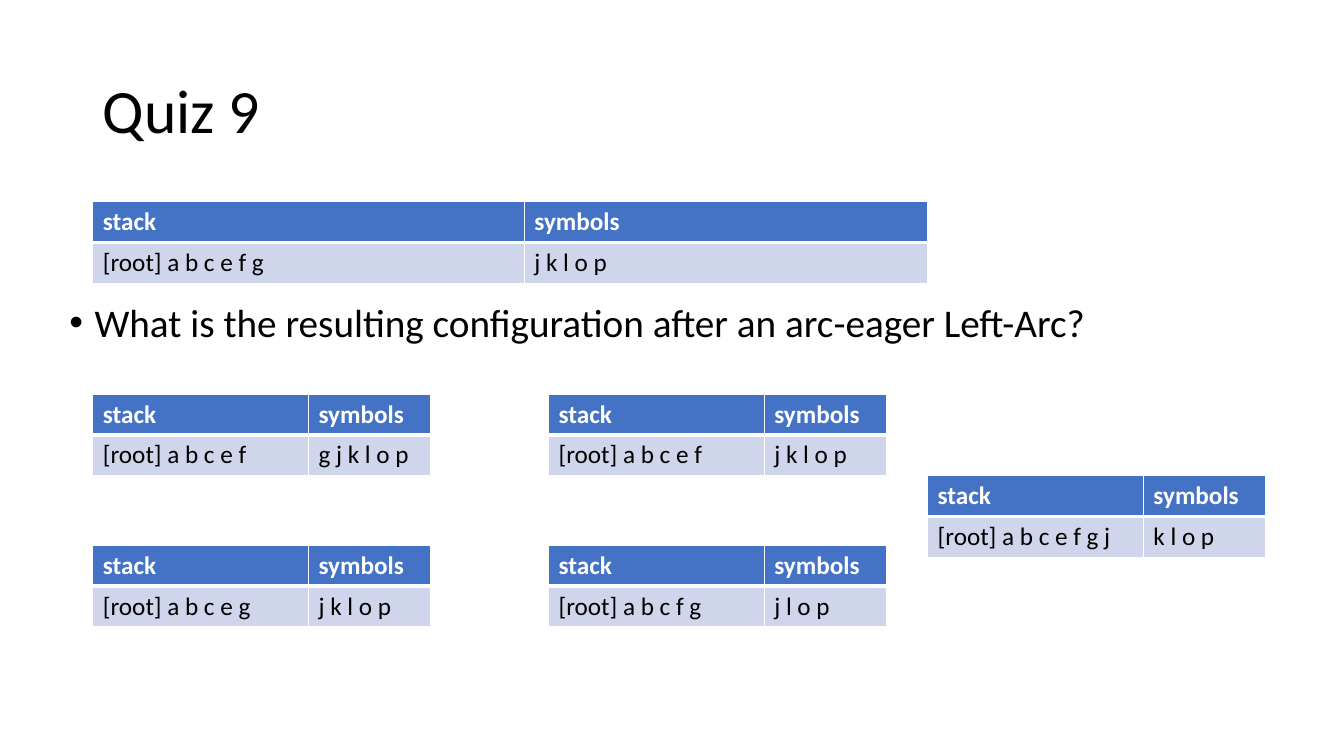
import pptx
import pptx.dml.color
import pptx.enum.text
import pptx.oxml
import pptx.oxml.ns
import pptx.util
from lxml import etree
from pptx.util import Inches

WHITE = pptx.dml.color.RGBColor(0xFF, 0xFF, 0xFF)
BLACK = pptx.dml.color.RGBColor(0x00, 0x00, 0x00)
HEADER_BLUE = pptx.dml.color.RGBColor(0x44, 0x72, 0xC4)
BODY_BLUE = pptx.dml.color.RGBColor(0xCF, 0xD5, 0xEA)
FONT = "Calibri"
ROW_HEIGHT = 0.405


def add_text(slide, left, top, width, height, text, size):
    shape = slide.shapes.add_textbox(Inches(left), Inches(top), Inches(width), Inches(height))
    shape.text_frame.word_wrap = True
    paragraph = shape.text_frame.paragraphs[0]
    paragraph.text = text
    paragraph.line_spacing = 0.9
    return shape.text_frame, paragraph


def add_configuration(slide, left, top, widths, stack, symbols):
    """Add a parser configuration: a header row above one body row."""
    table = slide.shapes.add_table(
        2, 2, Inches(left), Inches(top), Inches(sum(widths)), Inches(2 * ROW_HEIGHT)
    ).table
    for column, width in zip(table.columns, widths):
        column.width = Inches(width)
    for row_index, texts in enumerate((("stack", "symbols"), (stack, symbols))):
        header = row_index == 0
        table.rows[row_index].height = Inches(ROW_HEIGHT)
        for column_index, text in enumerate(texts):
            cell = table.cell(row_index, column_index)
            cell.text = text
            # White borders, thick between header and body
            properties = cell._tc.get_or_add_tcPr()
            thick_side = "lnB" if header else "lnT"
            for side in ("lnL", "lnR", "lnT", "lnB"):
                points = 3 if side == thick_side else 1
                line = etree.SubElement(
                    properties, pptx.oxml.ns.qn("a:" + side), w=str(pptx.util.Pt(points))
                )
                fill = etree.SubElement(line, pptx.oxml.ns.qn("a:solidFill"))
                etree.SubElement(fill, pptx.oxml.ns.qn("a:srgbClr"), val=str(WHITE))
            cell.fill.solid()
            cell.fill.fore_color.rgb = HEADER_BLUE if header else BODY_BLUE
            font = cell.text_frame.paragraphs[0].font
            font.name = FONT
            font.size = pptx.util.Pt(18)
            font.bold = header
            font.color.rgb = WHITE if header else BLACK


presentation = pptx.Presentation()
presentation.slide_width = Inches(13.33)
presentation.slide_height = Inches(7.5)
slide = presentation.slides.add_slide(presentation.slide_layouts[6])

# Title
title_frame, title = add_text(slide, 0.92, 0.4, 11.5, 1.45, "Quiz 9", 44)
title_frame.vertical_anchor = pptx.enum.text.MSO_ANCHOR.MIDDLE

# Question with a hanging bullet
question_frame, question = add_text(
    slide, 0.59, 2.96, 11.5, 0.79,
    "What is the resulting configuration after an arc-eager Left-Arc?", 28
)
bullet_properties = question._p.get_or_add_pPr()
bullet_properties.set("marL", str(Inches(0.25)))
bullet_properties.set("indent", str(Inches(-0.25)))
etree.SubElement(bullet_properties, pptx.oxml.ns.qn("a:buFont"), typeface="Arial")
etree.SubElement(bullet_properties, pptx.oxml.ns.qn("a:buChar"), char="•")

for paragraph, size in ((title, 44), (question, 28)):
    paragraph.font.name = FONT
    paragraph.font.size = pptx.util.Pt(size)
    paragraph.font.color.rgb = BLACK

# Starting configuration
add_configuration(slide, 0.92, 2, (4.28, 4), "[root] a b c e f g", "j k l o p")

# Answer options
for left, top, stack, symbols in (
    (0.92, 3.91, "[root] a b c e f", "g j k l o p"),
    (0.92, 5.41, "[root] a b c e g", "j k l o p"),
    (5.44, 3.91, "[root] a b c e f", "j k l o p"),
    (5.44, 5.41, "[root] a b c f g", "j l o p"),
    (9.2, 4.72, "[root] a b c e f g j", "k l o p"),
):
    add_configuration(slide, left, top, (2.14, 1.21), stack, symbols)

presentation.save("out.pptx")
